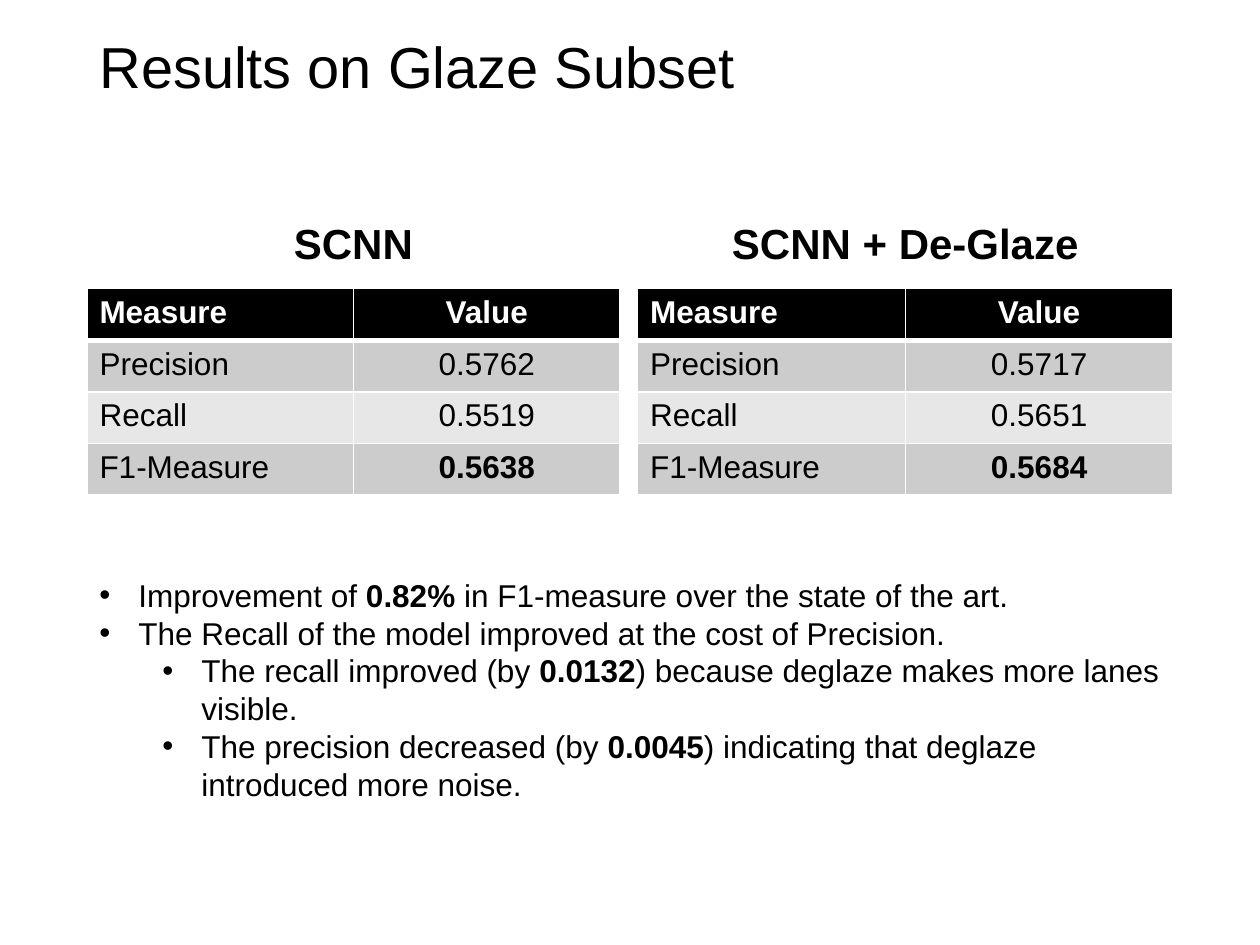
from dataclasses import dataclass

from lxml.etree import SubElement
from pptx import Presentation
from pptx.dml.color import RGBColor
from pptx.enum.text import MSO_ANCHOR as Anchor, PP_ALIGN as Align
from pptx.oxml import parse_xml
from pptx.oxml.ns import nsdecls, qn
from pptx.util import Inches, Pt


@dataclass(frozen=True)
class Theme:
    face: str = "Arial"
    ink: str = "000000"
    paper: str = "FFFFFF"
    bands: tuple = ("CCCCCC", "E7E7E7")
    title: float = 33
    heading: float = 24
    body: float = 18
    rule: float = 1
    header_rule: float = 3


THEME = Theme()
TITLE = "Results on Glaze Subset"
HEADER = ("Measure", "Value")
MEASURES = ("Precision", "Recall", "F1-Measure")
MODELS = [
    ("SCNN", 0.69, 4.23, ("0.5762", "0.5519", "0.5638")),
    ("SCNN + De-Glaze", 5.06, 4.25, ("0.5717", "0.5651", "0.5684")),
]
FINDINGS = [
    (0, "Improvement of ", "0.82% ", "in F1-measure over the state of the art."),
    (0, "The Recall of the model improved at the cost of Precision."),
    (1, "The recall improved (by ", "0.0132", ") because deglaze makes more lanes visible."),
    (1, "The precision decreased (by ", "0.0045", ") indicating that deglaze introduced more noise."),
]
LEFT, WIDTH = 0.69, 8.62
ROW_HEIGHT = 0.41
INDENT, LEVEL_STEP = 0.31, 0.5


def style(paragraph, size, color=THEME.ink, bold=False):
    font = paragraph.font
    font.name, font.size, font.bold = THEME.face, Pt(size), bold
    font.color.rgb = RGBColor.from_string(color)


def add_frame(slide, left, top, width, height, anchor=Anchor.TOP):
    frame = slide.shapes.add_textbox(*map(Inches, (left, top, width, height))).text_frame
    frame.word_wrap = True
    frame.vertical_anchor = anchor
    return frame


def add_line(slide, words, place, anchor, size, align=Align.LEFT, bold=False):
    line = add_frame(slide, *place, anchor).paragraphs[0]
    line.text, line.alignment, line.line_spacing = words, align, 0.9
    style(line, size, bold=bold)


def set_borders(cell, top, bottom):
    widths = {"L": THEME.rule, "R": THEME.rule, "T": top, "B": bottom}
    properties = cell._tc.get_or_add_tcPr()
    for position, (side, width) in enumerate(widths.items()):
        properties.insert(position, parse_xml(
            f'<a:ln{side} {nsdecls("a")} w="{Pt(width)}"><a:solidFill>'
            f'<a:srgbClr val="{THEME.paper}"/></a:solidFill></a:ln{side}>'))


def add_scores(slide, left, width, scores):
    rows = [HEADER, *zip(MEASURES, scores)]
    place = map(Inches, (left, 2.29, width, ROW_HEIGHT * len(rows)))
    table = slide.shapes.add_table(len(rows), len(HEADER), *place).table
    for column in table.columns:
        column.width = Inches(width / len(HEADER))
    for r, row in enumerate(rows):
        table.rows[r].height = Inches(ROW_HEIGHT)
        is_header = r == 0
        for c, words in enumerate(row):
            cell = table.cell(r, c)
            cell.fill.solid()
            fill = THEME.ink if is_header else THEME.bands[(r - 1) % 2]
            cell.fill.fore_color.rgb = RGBColor.from_string(fill)
            set_borders(cell, THEME.header_rule if r == 1 else THEME.rule,
                        THEME.header_rule if is_header else THEME.rule)
            entry = cell.text_frame.paragraphs[0]
            entry.text = words
            entry.alignment = Align.CENTER if c else Align.LEFT
            is_best = c == 1 and r == len(rows) - 1
            style(entry, THEME.body, THEME.paper if is_header else THEME.ink, is_header or is_best)


def add_findings(slide):
    frame = add_frame(slide, LEFT, 4.52, WIDTH, 1.92)
    for i, (level, *parts) in enumerate(FINDINGS):
        finding = frame.add_paragraph() if i else frame.paragraphs[0]
        finding.level = level
        properties = finding._p.get_or_add_pPr()
        properties.set("marL", str(Inches(INDENT + LEVEL_STEP * level)))
        properties.set("indent", str(Inches(-INDENT)))
        SubElement(properties, qn("a:buFont")).set("typeface", THEME.face)
        SubElement(properties, qn("a:buChar")).set("char", "•")
        style(finding, THEME.body)
        for n, words in enumerate(parts):
            run = finding.add_run()
            run.text, run.font.bold = words, n == 1


def main():
    """Build the slide that compares both models on the glaze subset."""
    deck = Presentation()
    deck.slide_width, deck.slide_height = Inches(10), Inches(7.5)
    slide = deck.slides.add_slide(deck.slide_layouts[6])
    add_line(slide, TITLE, (LEFT, 0.2, WIDTH, 0.7), Anchor.MIDDLE, THEME.title)
    for model, left, width, scores in MODELS:
        add_line(slide, model, (left, 1.28, width, 0.9), Anchor.BOTTOM,
                 THEME.heading, Align.CENTER, True)
        add_scores(slide, left, width, scores)
    add_findings(slide)
    deck.save("out.pptx")


if __name__ == "__main__":
    main()
